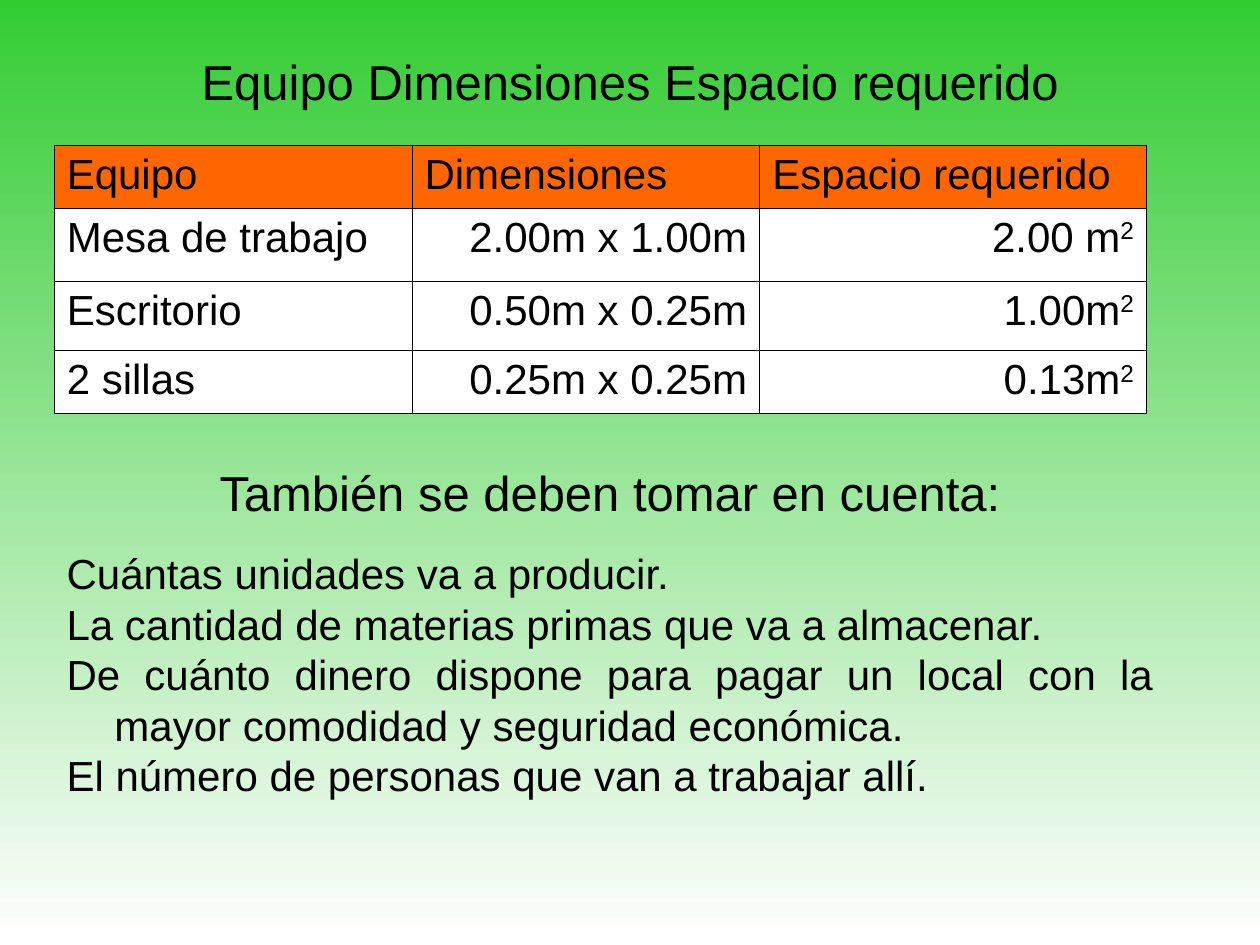
import pptx
import pptx.dml.color
import pptx.enum.text
import pptx.oxml
import pptx.oxml.ns
import pptx.util
from lxml import etree

RGBColor = pptx.dml.color.RGBColor
Inches, Pt = pptx.util.Inches, pptx.util.Pt
ALIGN, ANCHOR = pptx.enum.text.PP_ALIGN, pptx.enum.text.MSO_ANCHOR
qn = pptx.oxml.ns.qn

GREEN = RGBColor(0x33, 0xCC, 0x33)
ORANGE = RGBColor(0xFF, 0x66, 0x00)
WHITE = RGBColor(0xFF, 0xFF, 0xFF)
BLACK = RGBColor(0, 0, 0)

FONT = "Arial"
HEADING_SIZE, BODY_SIZE = 28, 24
HANGING = 0.38
BORDER_WIDTH = 0.45

COLUMN_WIDTHS = [2.84, 2.76, 3.07]
ROW_HEIGHTS = [0.5, 0.58, 0.55, 0.5]
EQUIPMENT = [
    ("Equipo", "Dimensiones", "Espacio requerido"),
    ("Mesa de trabajo", "2.00m x 1.00m", "2.00 m"),
    ("Escritorio", "0.50m x 0.25m", "1.00m"),
    ("2 sillas", "0.25m x 0.25m", "0.13m"),
]
CONSIDERATIONS = [
    ("Cuántas unidades va a producir.", ALIGN.LEFT),
    ("La cantidad de materias primas que va a almacenar.", ALIGN.LEFT),
    ("De cuánto dinero dispone para pagar un local con la mayor comodidad "
     "y seguridad económica.", ALIGN.JUSTIFY),
    ("El número de personas que van a trabajar allí.", ALIGN.LEFT),
]


def format_runs(p, size):
    for r in p.runs:
        r.font.name = FONT
        r.font.size = Pt(size)
        r.font.color.rgb = BLACK


def hang(p):
    pPr = p._p.get_or_add_pPr()
    pPr.set("marL", str(Inches(HANGING)))
    pPr.set("indent", str(-Inches(HANGING)))


def add_background(slide):
    fill = slide.background.fill
    fill.gradient()
    fill.gradient_angle = 270
    for stop, color in zip(fill.gradient_stops, (GREEN, WHITE)):
        stop.color.rgb = color


def add_text_frame(slide, box):
    tf = slide.shapes.add_textbox(*map(Inches, box)).text_frame
    tf.word_wrap = True
    return tf


def add_heading(slide, box, text):
    tf = add_text_frame(slide, box)
    tf.vertical_anchor = ANCHOR.MIDDLE
    p = tf.paragraphs[0]
    p.text = text
    p.alignment = ALIGN.CENTER
    p.space_after = Pt(3)
    format_runs(p, HEADING_SIZE)


def add_borders(cell):
    tcPr = cell._tc.get_or_add_tcPr()
    for i, side in enumerate(("lnL", "lnR", "lnT", "lnB")):
        ln = etree.Element(qn(f"a:{side}"), w=str(Pt(BORDER_WIDTH)))
        fill = etree.SubElement(ln, qn("a:solidFill"))
        etree.SubElement(fill, qn("a:srgbClr"), val=str(BLACK))
        tcPr.insert(i, ln)


def add_equipment_table(slide, box):
    table = slide.shapes.add_table(
        len(ROW_HEIGHTS), len(COLUMN_WIDTHS), *map(Inches, box)).table
    table.horz_banding = table.first_row = False
    for column, width in zip(table.columns, COLUMN_WIDTHS):
        column.width = Inches(width)
    for row, height in zip(table.rows, ROW_HEIGHTS):
        row.height = Inches(height)

    for i, values in enumerate(EQUIPMENT):
        for j, value in enumerate(values):
            cell = table.cell(i, j)
            cell.fill.solid()
            cell.fill.fore_color.rgb = WHITE if i else ORANGE
            add_borders(cell)
            p = cell.text_frame.paragraphs[0]
            p.text = value
            p.alignment = ALIGN.RIGHT if i and j else ALIGN.LEFT
            hang(p)
            # Areas end in a superscript 2
            if i and j == 2:
                r = p.add_run()
                r.text = "2"
                r.font._element.set("baseline", "30000")
            format_runs(p, BODY_SIZE)


def add_considerations(slide, box):
    tf = add_text_frame(slide, box)
    tf.text = "\n".join(text for text, _ in CONSIDERATIONS)
    for p, (_, alignment) in zip(tf.paragraphs, CONSIDERATIONS):
        p.alignment = alignment
        hang(p)
        format_runs(p, BODY_SIZE)


def main():
    prs = pptx.Presentation()
    prs.slide_width, prs.slide_height = Inches(10), Inches(7.5)
    slide = prs.slides.add_slide(prs.slide_layouts[6])

    add_background(slide)
    # Space required by each piece of equipment
    add_heading(slide, (0.5, 0.3, 9, 0.69),
                "Equipo Dimensiones Espacio requerido")
    add_equipment_table(
        slide, (0.43, 1.15, sum(COLUMN_WIDTHS), sum(ROW_HEIGHTS)))
    # Other points to consider
    add_heading(slide, (0.35, 3.59, 8.98, 0.63),
                "También se deben tomar en cuenta:")
    add_considerations(slide, (0.43, 4.3, 8.82, 2.1))

    prs.save("out.pptx")


if __name__ == "__main__":
    main()
